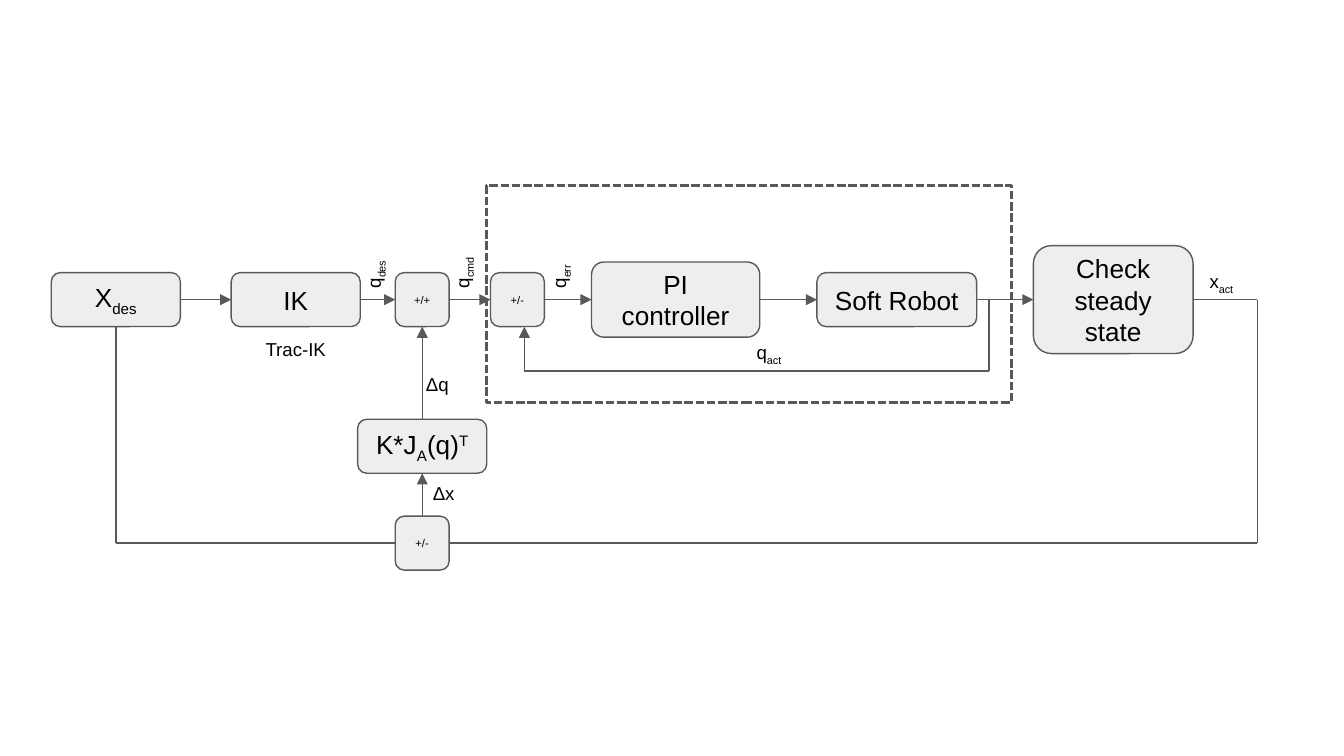
import pptx
import pptx.dml.color
import pptx.enum.dml
import pptx.enum.shapes
import pptx.enum.text
import pptx.oxml.ns
import pptx.util
from lxml import etree

Cm = pptx.util.Cm
TOP, LEFT, BOTTOM, RIGHT = range(4)
COLORS = {"line": "595959", "fill": "EEEEEE", "text": "000000"}
FONT = "Arial"
NODE_H = 1.02
NODE_W = 2.44


def color(name):
    """Return the named palette colour."""
    return pptx.dml.color.RGBColor.from_string(COLORS[name])


def write(sp, runs, size, align, anchor):
    """Fill a shape with one paragraph of (text, baseline percent) runs."""
    tf = sp.text_frame
    tf.word_wrap = True
    tf.vertical_anchor = anchor
    tf.margin_left = tf.margin_right = tf.margin_top = tf.margin_bottom = Cm(0.25)
    p = tf.paragraphs[0]
    p.alignment = align
    for text, baseline in runs:
        r = p.add_run()
        r.text = text
        r.font.name = FONT
        r.font.size = pptx.util.Pt(size)
        r.font.color.rgb = color("text")
        if baseline:
            r.font._element.set("baseline", str(baseline * 1000))


def node(s, x, mid, w, h, runs, size=14):
    """Add a rounded block whose vertical middle is at mid."""
    kind = pptx.enum.shapes.MSO_SHAPE.ROUNDED_RECTANGLE
    sp = s.shapes.add_shape(kind, Cm(x), Cm(mid - h / 2), Cm(w), Cm(h))
    sp.shadow.inherit = False
    sp.fill.solid()
    sp.fill.fore_color.rgb = color("fill")
    sp.line.color.rgb = color("line")
    sp.line.width = pptx.util.Pt(0.75)
    write(sp, runs, size, pptx.enum.text.PP_ALIGN.CENTER, pptx.enum.text.MSO_ANCHOR.MIDDLE)
    return sp


def junction(s, x, mid, signs):
    """Add a small square summing block."""
    return node(s, x, mid, NODE_H, NODE_H, [(signs, 0)], 6)


def label(s, x, y, *runs, rotation=0):
    """Add a signal label."""
    sp = s.shapes.add_textbox(Cm(x), Cm(y), Cm(1.83), Cm(NODE_H))
    sp.rotation = rotation
    write(sp, runs, 10, pptx.enum.text.PP_ALIGN.LEFT, pptx.enum.text.MSO_ANCHOR.TOP)


def wire(s, start, end, arrow=False):
    """Join two ends, each a (shape, side) pair or an (x, y) point."""
    free = [(0, 0) if hasattr(e[0], "shape_id") else e for e in (start, end)]
    kind = pptx.enum.shapes.MSO_CONNECTOR.STRAIGHT
    c = s.shapes.add_connector(kind, *(Cm(v) for point in free for v in point))
    if hasattr(start[0], "shape_id"):
        c.begin_connect(*start)
    if hasattr(end[0], "shape_id"):
        c.end_connect(*end)
    c.line.color.rgb = color("line")
    c.line.width = pptx.util.Pt(0.75)
    if arrow:
        tail = etree.SubElement(c.line._get_or_add_ln(), pptx.oxml.ns.qn("a:tailEnd"))
        tail.set("type", "triangle")
    etree.SubElement(c._element.spPr, pptx.oxml.ns.qn("a:effectLst"))


def reference_path(s, x, y, w, h):
    """Draw the desired pose, inverse kinematics and command junction."""
    mid = y + h / 2
    desired = node(s, x, mid, NODE_W, NODE_H, [("X", 0), ("des", -25)])
    ik = node(s, x + 3.4, mid, NODE_W, NODE_H, [("IK", 0)])
    command = junction(s, x + w - NODE_H, mid, "+/+")
    wire(s, (desired, RIGHT), (ik, LEFT), True)
    wire(s, (ik, RIGHT), (command, LEFT), True)
    label(s, x + 3.8, mid + 0.51, ("Trac-IK", 0))
    label(s, x + 5.23, mid - 1.39, ("q", 0), ("des", -25), rotation=270)
    return desired, command


def inner_loop(s, x, y, w, h):
    """Draw the dashed joint control loop."""
    frame = s.shapes.add_shape(pptx.enum.shapes.MSO_SHAPE.RECTANGLE, Cm(x), Cm(y), Cm(w), Cm(h))
    frame.shadow.inherit = False
    frame.fill.background()
    frame.line.color.rgb = color("line")
    frame.line.width = pptx.util.Pt(1.5)
    frame.line.dash_style = pptx.enum.dml.MSO_LINE.SQUARE_DOT
    mid = y + 2.15
    error = junction(s, x + 0.08, mid, "+/-")
    controller = node(s, x + 1.99, mid, 3.18, 1.42, [("PI controller", 0)])
    robot = node(s, x + 6.25, mid, 3.02, NODE_H, [("Soft Robot", 0)])
    wire(s, (error, RIGHT), (controller, LEFT), True)
    wire(s, (controller, RIGHT), (robot, LEFT), True)
    tap, back, low = x + 9.5, x + 0.72, y + 3.5
    wire(s, (tap, mid), (tap, low))
    wire(s, (tap, low), (back, low))
    wire(s, (back, low), (back, mid + NODE_H / 2), True)
    label(s, x - 1.32, mid - 1.39, ("q", 0), ("cmd", -25), rotation=270)
    label(s, x + 0.51, mid - 1.39, ("q", 0), ("err", -25), rotation=270)
    label(s, x + 4.86, y + 2.69, ("q", 0), ("act", -25))
    return error, robot


def steady_check(s, x, y, w, h):
    """Draw the steady state check and its output label."""
    check = node(s, x, y + h / 2, w, h, [("Check steady state", 0)])
    label(s, x + 3.08, y + 0.22, ("x", 0), ("act", -25))
    return check


def correction(s, x, y, w, h):
    """Draw the transposed Jacobian correction above its junction."""
    runs = [("K*J", 0), ("A", -25), ("(q)", 0), ("T", 30)]
    jacobian = node(s, x, y + NODE_H / 2, w, NODE_H, runs)
    compare = junction(s, x + (w - NODE_H) / 2, y + h - NODE_H / 2, "+/-")
    wire(s, (compare, TOP), (jacobian, BOTTOM), True)
    label(s, x + 1.04, y - 1.09, ("Δq", 0))
    label(s, x + 1.17, y + 0.97, ("Δx", 0))
    return jacobian, compare


def outer_loop(s, x, y, w, h, desired, check, compare):
    """Route the desired and actual poses along the bottom to the junction."""
    right, bottom = x + w, y + h
    wire(s, (desired, BOTTOM), (x, bottom))
    wire(s, (x, bottom), (compare, LEFT))
    wire(s, (check, RIGHT), (right, y))
    wire(s, (right, y), (right, bottom))
    wire(s, (right, bottom), (compare, RIGHT))


def main():
    """Build the control diagram slide."""
    prs = pptx.Presentation()
    prs.slide_width, prs.slide_height = Cm(25.4), Cm(14.28)
    s = prs.slides.add_slide(prs.slide_layouts[6])
    error, robot = inner_loop(s, 9.19, 3.51, 9.93, 4.09)
    desired, command = reference_path(s, 0.97, 5.15, 7.52, NODE_H)
    check = steady_check(s, 19.53, 4.64, 3.02, 2.04)
    jacobian, compare = correction(s, 6.76, 7.92, NODE_W, 2.85)
    wire(s, (command, RIGHT), (error, LEFT), True)
    wire(s, (robot, RIGHT), (check, LEFT), True)
    wire(s, (jacobian, TOP), (command, BOTTOM), True)
    outer_loop(s, 2.19, 5.66, 21.57, 4.6, desired, check, compare)
    prs.save("out.pptx")


if __name__ == "__main__":
    main()
